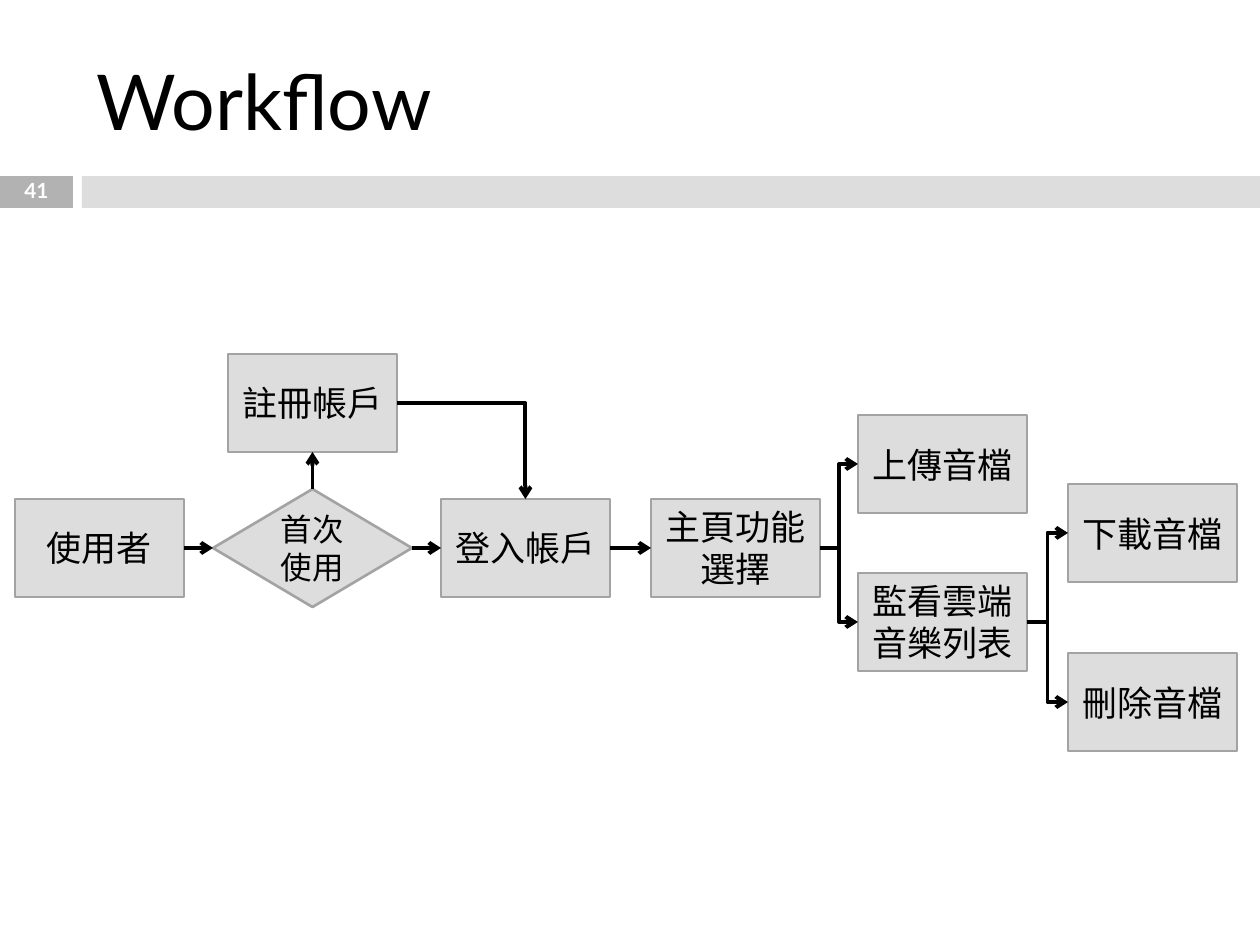
"""Build the Workflow slide: a title, a page band and a flow chart."""
import dataclasses

import pptx
import pptx.dml.color
import pptx.enum.shapes
import pptx.enum.text
import pptx.oxml
import pptx.oxml.ns
import pptx.util

SCALE = 914400 / 126
FONT = "Lato"
BLACK, WHITE, LIGHT, GRAY, EDGE = "000000", "FFFFFF", "DDDDDD", "B2B2B2", "A3A3A3"
KIND = pptx.enum.shapes.MSO_SHAPE
LINE = pptx.enum.shapes.MSO_CONNECTOR
ALIGN = pptx.enum.text.PP_ALIGN
MIDDLE = pptx.enum.text.MSO_ANCHOR.MIDDLE
TOP, LEFT, BOTTOM, RIGHT = range(4)


@dataclasses.dataclass
class Node:
    text: str
    x: int
    y: int
    w: int = 169
    h: int = 98
    size: int = 20
    kind: int = KIND.FLOWCHART_PROCESS


@dataclasses.dataclass
class Link:
    start: str
    end: str
    out: int = RIGHT
    into: int = LEFT
    form: str = "line"


NODES = {
    "list": Node("監看雲端音樂列表", 858, 573),
    "first": Node("首次使用", 213, 489, 199, 118, 18, KIND.FLOWCHART_DECISION),
    "user": Node("使用者", 15, 499),
    "join": Node("註冊帳戶", 228, 354),
    "login": Node("登入帳戶", 441, 499),
    "home": Node("主頁功能選擇", 651, 499),
    "send": Node("上傳音檔", 858, 415),
    "load": Node("下載音檔", 1068, 484),
    "drop": Node("刪除音檔", 1068, 653),
}
LINKS = [
    Link("user", "first"),
    Link("first", "login"),
    Link("first", "join", TOP, BOTTOM),
    Link("login", "home"),
    Link("join", "login", RIGHT, TOP, "bentConnector2"),
    Link("home", "send", form="bentConnector3"),
    Link("home", "list", form="bentConnector3"),
    Link("list", "load", form="bentConnector3"),
    Link("list", "drop", form="bentConnector3"),
]


def emu(*px: int) -> list[int]:
    return [round(n * SCALE) for n in px]


def color(code: str) -> pptx.dml.color.RGBColor:
    return pptx.dml.color.RGBColor.from_string(code)


def write(shape, text: str, size: float, ink: str = BLACK, align=ALIGN.CENTER, bold: bool = False):
    frame = shape.text_frame
    frame.text = text
    frame.word_wrap = True
    frame.vertical_anchor = MIDDLE
    line = frame.paragraphs[0]
    line.alignment = align
    font = line.runs[0].font
    font.name, font.size, font.bold = FONT, pptx.util.Pt(size), bold
    font.color.rgb = color(ink)
    return line


def block(slide, kind: int, x: int, y: int, w: int, h: int, fill: str):
    shape = slide.shapes.add_shape(kind, *emu(x, y, w, h))
    shape.shadow.inherit = False
    shape.fill.solid()
    shape.fill.fore_color.rgb = color(fill)
    shape.line.fill.background()
    return shape


def draw_node(slide, node: Node):
    shape = block(slide, node.kind, node.x, node.y, node.w, node.h, LIGHT)
    shape.line.color.rgb = color(EDGE)
    shape.line.width = pptx.util.Pt(1.5)
    write(shape, node.text, node.size)
    return shape


def draw_link(slide, link: Link, shapes: dict) -> None:
    kind = LINE.STRAIGHT if link.form == "line" else LINE.ELBOW
    wire = slide.shapes.add_connector(kind, 0, 0, 0, 0)
    wire.begin_connect(shapes[link.start], link.out)
    wire.end_connect(shapes[link.end], link.into)
    wire.line.color.rgb = color(BLACK)
    wire.line.width = pptx.util.Pt(2.25)
    props = wire._element.spPr
    props.find(pptx.oxml.ns.qn("a:prstGeom")).set("prst", link.form)
    space = pptx.oxml.ns.nsdecls("a")
    tip = pptx.oxml.parse_xml(f'<a:tailEnd {space} type="arrow"/>')
    props.find(pptx.oxml.ns.qn("a:ln")).append(tip)
    props.append(pptx.oxml.parse_xml(f"<a:effectLst {space}/>"))


def main() -> None:
    deck = pptx.Presentation()
    deck.slide_width, deck.slide_height = emu(1260, 945)
    slide = deck.slides.add_slide(deck.slide_layouts[6])
    block(slide, KIND.RECTANGLE, 0, 176, 73, 32, GRAY)
    block(slide, KIND.RECTANGLE, 82, 176, 1178, 32, LIGHT)
    title = slide.shapes.add_textbox(*emu(84, 32, 1124, 136))
    write(title, "Workflow", 44, align=ALIGN.LEFT)
    page = slide.shapes.add_textbox(*emu(0, 175, 73, 34))
    write(page, "41", 11.9, WHITE, bold=True).line_spacing = 0.8
    shapes = {name: draw_node(slide, node) for name, node in NODES.items()}
    for link in LINKS:
        draw_link(slide, link, shapes)
    deck.save("out.pptx")


if __name__ == "__main__":
    main()
